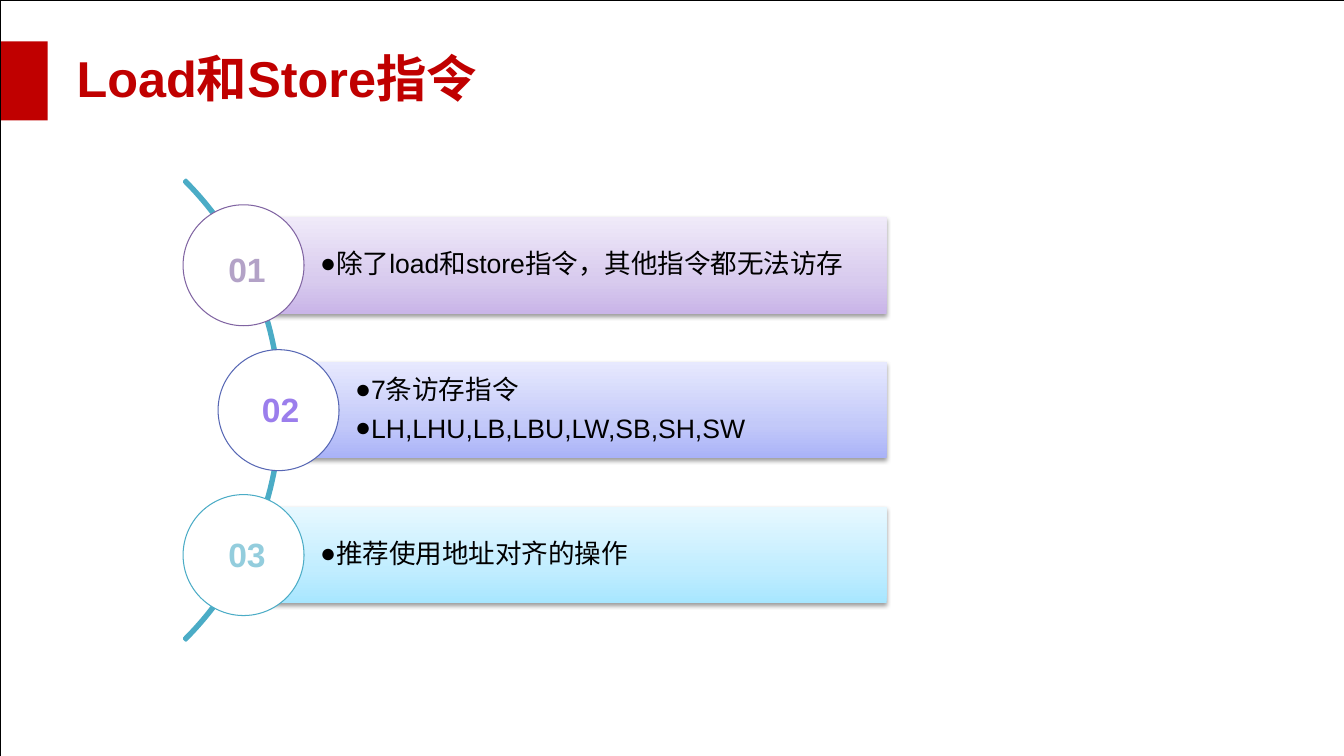
from copy import deepcopy
from dataclasses import dataclass

from lxml import etree
from pptx import Presentation
from pptx.dml.color import RGBColor
from pptx.enum import shapes, text
from pptx.oxml import ns
from pptx.util import Pt

SHAPE = shapes.MSO_SHAPE


@dataclass(frozen=True)
class Theme:
    font: str = "Arial"
    title_size: int = 36
    number_size: int = 24
    body_size: int = 19
    accent: str = "C00000"
    arc: str = "4BACC6"
    ink: str = "000000"
    paper: str = "FFFFFF"


@dataclass(frozen=True)
class Rule:
    lines: tuple
    center_x: float
    number_left: float
    number_top: float
    gradient: tuple
    outline: str
    number_color: str


THEME = Theme()
RULES = (
    Rule(("除了load和store指令，其他指令都无法访存",), 174, 156, 174,
         ("C9B5E8", "D8CBEE", "F0EAF9"), "8064A2", "B3A2C7"),
    Rule(("7条访存指令", "LH,LHU,LB,LBU,LW,SB,SH,SW"), 199, 180, 274.3,
         ("A9B2F8", "C3C9F9", "E7E9FE"), "5767B4", "9B7EEC"),
    Rule(("推荐使用地址对齐的操作",), 174, 156, 378,
         ("A7E6FF", "C1EDFF", "E7F8FF"), "4BACC6", "93CDDD"),
)
SLIDE_WIDTH, SLIDE_HEIGHT = 960, 540
ARC_CENTER_X, ARC_CENTER_Y, ARC_RADIUS = -31.6, 293, 232.5
ROW_STEP = 103.5
BAR_RIGHT, BAR_HEIGHT = 633.3, 69
CIRCLE_SIZE = 86.4


def style(paragraph, size, color, bold=False):
    font = paragraph.font
    font.name, font.size, font.bold = THEME.font, Pt(size), bold
    font.color.rgb = RGBColor.from_string(color)


def set_insets(frame, left, top, right, bottom):
    frame.margin_left, frame.margin_top = Pt(left), Pt(top)
    frame.margin_right, frame.margin_bottom = Pt(right), Pt(bottom)


def add_shape(slide, kind, box, fill=None, line=None, width=0.75):
    shape = slide.shapes.add_shape(kind, *map(Pt, box))
    shape.shadow.inherit = False
    if fill:
        shape.fill.solid()
        shape.fill.fore_color.rgb = RGBColor.from_string(fill)
    else:
        shape.fill.background()
    if line:
        shape.line.color.rgb = RGBColor.from_string(line)
        shape.line.width = Pt(width)
    else:
        shape.line.fill.background()
    return shape


def apply_gradient(shape, colors):
    shape.fill.gradient()
    shape.fill.gradient_angle = 90
    last_stop = shape._element.spPr.findall(".//" + ns.qn("a:gs"))[-1]
    last_stop.addprevious(deepcopy(last_stop))
    for stop, position, color in zip(shape.fill.gradient_stops, (0, 0.35, 1), colors):
        stop.position = position
        stop.color.rgb = RGBColor.from_string(color)


def add_shadow(shape):
    effects = shape._element.spPr.find(ns.qn("a:effectLst"))
    shadow = etree.SubElement(
        effects, ns.qn("a:outerShdw"), blurRad=str(Pt(3.1)), dist=str(Pt(1.6)),
        dir="5400000", rotWithShape="0")
    color = etree.SubElement(shadow, ns.qn("a:srgbClr"), val=THEME.ink)
    etree.SubElement(color, ns.qn("a:alpha"), val="38000")


def add_bullet(paragraph):
    properties = paragraph._p.get_or_add_pPr()
    properties.set("marL", "0")
    properties.set("indent", "0")
    etree.SubElement(properties, ns.qn("a:buFont"), typeface=THEME.font)
    etree.SubElement(properties, ns.qn("a:buChar"), char="●")


def add_title(slide, wording):
    title = slide.shapes.title
    title.left, title.top, title.width, title.height = map(Pt, (54.7, 32.4, 366.5, 44.6))
    frame = title.text_frame
    frame.text = wording
    frame.vertical_anchor = text.MSO_ANCHOR.MIDDLE
    set_insets(frame, 0, 0.7, 0, 0)
    heading = frame.paragraphs[0]
    heading.alignment = text.PP_ALIGN.LEFT
    style(heading, THEME.title_size, THEME.accent, bold=True)


def add_bar(slide, rule, middle):
    bar = add_shape(slide, SHAPE.RECTANGLE, (
        rule.center_x, middle - BAR_HEIGHT / 2, BAR_RIGHT - rule.center_x, BAR_HEIGHT))
    apply_gradient(bar, rule.gradient)
    add_shadow(bar)
    frame = bar.text_frame
    frame.text = "\n".join(rule.lines)
    frame.word_wrap = True
    frame.vertical_anchor = text.MSO_ANCHOR.MIDDLE
    set_insets(frame, 54.7, 3.8, 3.8, 3.8)
    for line in frame.paragraphs:
        line.alignment = text.PP_ALIGN.LEFT
        line.line_spacing = 0.9
        line.space_after = Pt(7)
        add_bullet(line)
        style(line, THEME.body_size, THEME.ink)


def add_number(slide, rule, number):
    label = slide.shapes.add_textbox(
        Pt(rule.number_left), Pt(rule.number_top), Pt(90), Pt(36))
    frame = label.text_frame
    frame.word_wrap = True
    frame.text = f"{number:02}"
    style(frame.paragraphs[0], THEME.number_size, rule.number_color, bold=True)


def add_rule(slide, rule, number):
    middle = ARC_CENTER_Y + (number - 2) * ROW_STEP
    add_bar(slide, rule, middle)
    add_shape(slide, SHAPE.OVAL, (
        rule.center_x - CIRCLE_SIZE / 2, middle - CIRCLE_SIZE / 2,
        CIRCLE_SIZE, CIRCLE_SIZE), THEME.paper, rule.outline)
    add_number(slide, rule, number)


def add_arc(slide):
    arc = add_shape(slide, SHAPE.BLOCK_ARC, (
        ARC_CENTER_X - ARC_RADIUS, ARC_CENTER_Y - ARC_RADIUS,
        2 * ARC_RADIUS, 2 * ARC_RADIUS), line=THEME.arc, width=2)
    for index, value in enumerate((189, 27, 0.004)):
        arc.adjustments[index] = value


def main():
    deck = Presentation()
    deck.slide_width, deck.slide_height = Pt(SLIDE_WIDTH), Pt(SLIDE_HEIGHT)
    slide = deck.slides.add_slide(deck.slide_layouts[5])
    add_title(slide, "Load和Store指令")
    add_shape(slide, SHAPE.RECTANGLE, (0, 29.5, 34, 56.5), THEME.accent)
    add_shape(slide, SHAPE.RECTANGLE, (0, 0, SLIDE_WIDTH, SLIDE_HEIGHT),
              line=THEME.ink, width=0.25)
    add_arc(slide)
    for number, rule in enumerate(RULES, 1):
        add_rule(slide, rule, number)
    deck.save("out.pptx")


if __name__ == "__main__":
    main()
